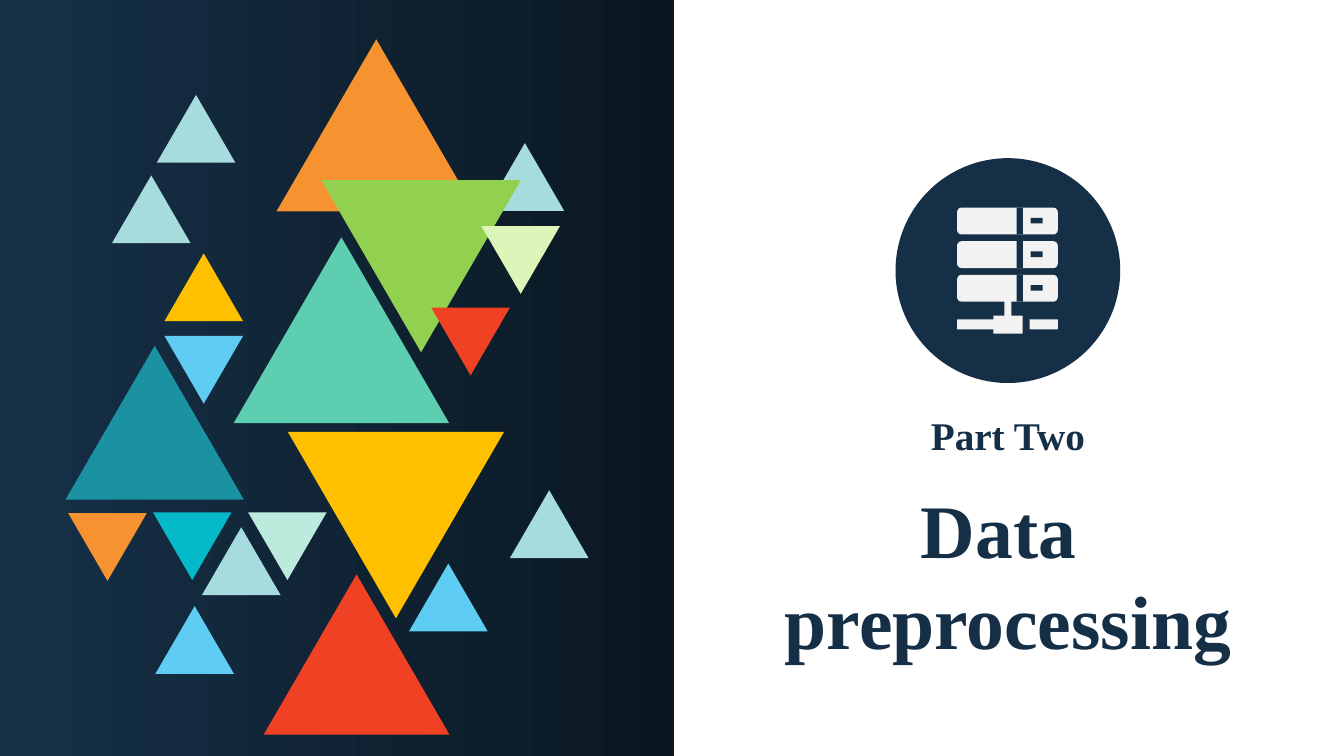
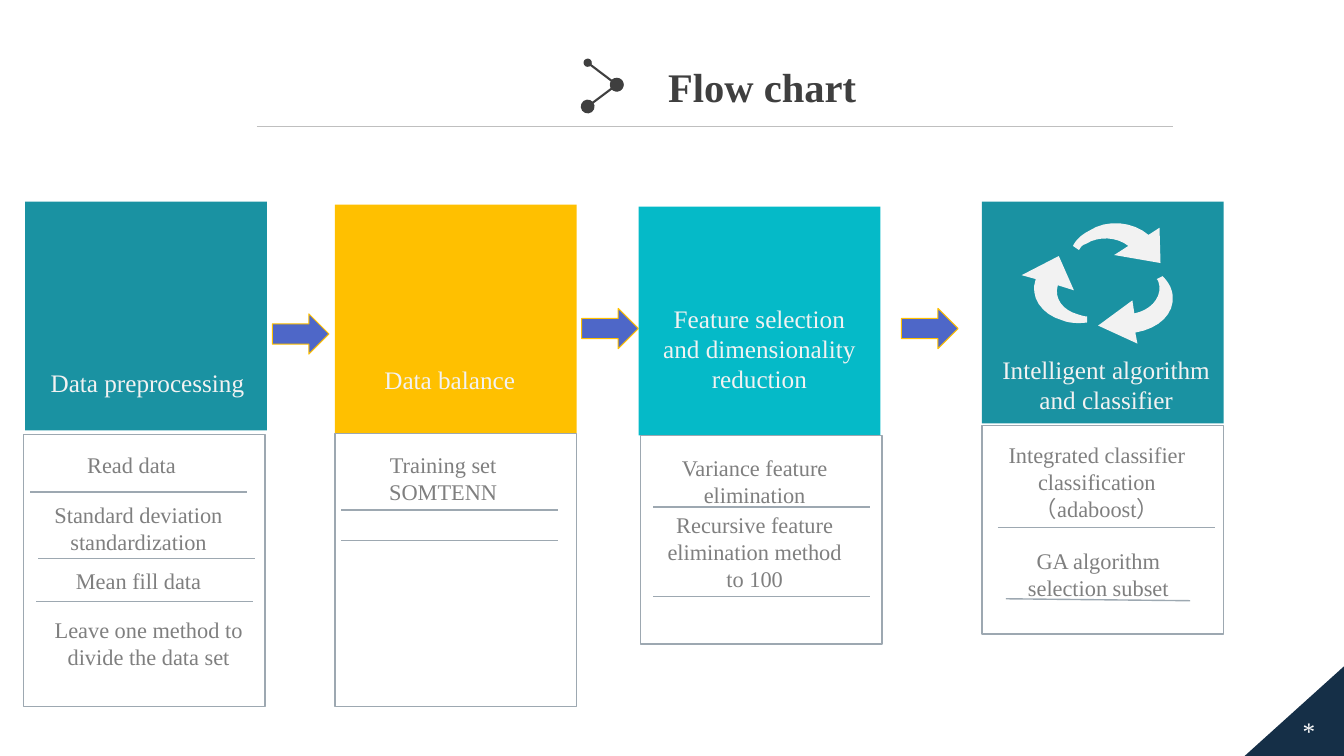
"""Build a section opener and a flow chart slide on data preprocessing."""
from lxml import etree
from pptx import Presentation
from pptx.dml import color
from pptx.enum import shapes, text
from pptx.oxml import ns
from pptx.util import Pt

FONT = "Times New Roman"
NAVY, PALE, GREY, CHARCOAL, RULE = "152F47", "F2F2F2", "7F7F7F", "3F3F3F", "9DA8B1"
TEAL, CYAN, GOLD, BLUE = "1A92A2", "05BAC8", "FFC000", "4E67C8"
MIST, SKY, RED, ORANGE = "A7DCDE", "5ECCF3", "F14124", "F69230"
KIND = shapes.MSO_SHAPE
LEFT, CENTER = text.PP_ALIGN.LEFT, text.PP_ALIGN.CENTER


def paint(shape, fill=None, line=None, width=1):
    if fill:
        shape.fill.solid()
        shape.fill.fore_color.rgb = color.RGBColor.from_string(fill)
    else:
        shape.fill.background()
    if line:
        shape.line.color.rgb = color.RGBColor.from_string(line)
        shape.line.width = Pt(width)
    else:
        shape.line.fill.background()
    shape.shadow.inherit = False
    return shape


def write(holder, box, words, size, ink, bold=False, align=CENTER):
    holder.left, holder.top, holder.width, holder.height = map(Pt, box)
    frame = holder.text_frame
    frame.text = words
    frame.word_wrap = True
    frame.auto_size = text.MSO_AUTO_SIZE.NONE
    frame.vertical_anchor = text.MSO_ANCHOR.TOP
    for paragraph in frame.paragraphs:
        paragraph.alignment = align
        paragraph.font.name = FONT
        paragraph.font.size = Pt(size)
        paragraph.font.bold = bold
        paragraph.font.color.rgb = color.RGBColor.from_string(ink)


deck = Presentation()
deck.slide_width, deck.slide_height = Pt(960.48), Pt(540)
title_only = deck.slide_layouts[5]

opener = deck.slides.add_slide(title_only)
write(opener.shapes.title, (532.4, 341.3, 376, 137), "Data \npreprocessing", 54, NAVY, True)
write(opener.shapes.add_textbox(0, 0, 0, 0), (640, 290, 160.6, 41), "Part Two", 28, NAVY, True)

backdrop = paint(opener.shapes.add_shape(KIND.RECTANGLE, 0, 0, Pt(481.7), Pt(540)))
backdrop.fill.gradient()
backdrop.fill.gradient_angle = 0
for stop, position, shade in zip(backdrop.fill.gradient_stops, (0, 1), ("163048", "0A1721")):
    stop.position = position
    stop.color.rgb = color.RGBColor.from_string(shade)

SMALL = 56.2
triangles = [
    (80, 125.3, SMALL, MIST, 0),
    (347, 102.2, SMALL, MIST, 0),
    (177.3, 365.9, SMALL, "BCEBDE", 180),
    (167, 169.5, 154, "5DCEAF", 0),
    (46.8, 247, 127.5, TEAL, 0),
    (144.3, 376.6, SMALL, MIST, 0),
    (111, 432.9, SMALL, SKY, 0),
    (197.6, 28.1, 142.6, ORANGE, 0),
    (112, 67.8, SMALL, MIST, 0),
    (229.6, 128.7, 142.6, "92D050", 180),
    (344, 161.5, SMALL, "DBF6B8", 180),
    (109.3, 365.9, SMALL, CYAN, 180),
    (48.7, 366.5, SMALL, ORANGE, 180),
    (117.5, 181, SMALL, GOLD, 0),
    (117.5, 239.9, SMALL, SKY, 180),
    (308.2, 219.7, SMALL, RED, 180),
    (188.5, 410.3, 132.7, RED, 0),
    (364.4, 350.2, SMALL, MIST, 0),
    (205.7, 308.5, 154.5, GOLD, 180),
    (292.3, 402.5, SMALL, SKY, 0),
]
for left, top, side, shade, turn in triangles:
    triangle = opener.shapes.add_shape(KIND.ISOSCELES_TRIANGLE, Pt(left), Pt(top), Pt(side), Pt(side * 0.862))
    paint(triangle, shade).rotation = turn

server = [(KIND.OVAL, (640, 113, 160.6, 160.6), NAVY)]
for top in (148.3, 172.3, 196.3):
    server += [
        (KIND.ROUNDED_RECTANGLE, (684, top, 72, 19.2), PALE),
        (KIND.RECTANGLE, (726.5, top, 4.5, 19.2), NAVY),
        (KIND.RECTANGLE, (736.6, top + 7.3, 8.6, 4), NAVY),
    ]
for box in ((684, 228.2, 27, 7.2), (709.9, 225.4, 21, 12.9), (717.8, 215, 5.1, 11), (735.8, 228.2, 20.2, 7.2)):
    server.append((KIND.RECTANGLE, box, PALE))
for kind, box, shade in server:
    paint(opener.shapes.add_shape(kind, *map(Pt, box)), shade)

flow = deck.slides.add_slide(title_only)
write(flow.shapes.title, (470.2, 40.3, 240, 41.8), "Flow chart", 29, CHARCOAL, True, LEFT)

corner = flow.shapes.build_freeform(Pt(889.5), Pt(540))
corner.add_line_segments([(Pt(960.48), Pt(476)), (Pt(960.48), Pt(540))])
paint(corner.convert_to_shape(), NAVY)
write(flow.shapes.add_textbox(0, 0, 0, 0), (911, 507.5, 49, 30), "*", 18, "FFFFFF")

steps = [
    (TEAL, (18, 144, 172.8, 163.4), (28, 258.8, 154.8, 29), "Data preprocessing",
     (16.6, 310.3, 172.8, 194.4),
     [(16.6, 318.5, "Read data"), (21.6, 354.2, "Standard deviation standardization"),
      (21.6, 401.8, "Mean fill data"), (28.8, 436.3, "Leave one method to divide the data set")]),
    (GOLD, (239.3, 146.2, 172.8, 163.4), (244, 256.7, 154.8, 29), "Data balance",
     (239.3, 309.6, 172.8, 195),
     [(239.3, 318.5, "Training set SOMTENN")]),
    (CYAN, (456.4, 147.6, 172.8, 163.4), (465.3, 213.1, 154.8, 72),
     "Feature selection and dimensionality reduction",
     (457.7, 311, 172.8, 149),
     [(461.9, 320.7, "Variance feature elimination"),
      (461.9, 361.4, "Recursive feature elimination method to 100")]),
    (TEAL, (701.7, 144, 172.8, 158.4), (701.7, 249.5, 177.8, 50.4), "Intelligent algorithm and classifier",
     (701.7, 303.8, 172.8, 149),
     [(706.5, 311.8, "Integrated classifier classification （adaboost）"),
      (707.5, 387.4, "GA algorithm selection subset")]),
]
for shade, card, heading_box, heading, panel, tasks in steps:
    paint(flow.shapes.add_shape(KIND.RECTANGLE, *map(Pt, card)), shade)
    paint(flow.shapes.add_shape(KIND.RECTANGLE, *map(Pt, panel)), None, RULE)
    write(flow.shapes.add_textbox(0, 0, 0, 0), heading_box, heading, 18, PALE)
    for left, top, task in tasks:
        write(flow.shapes.add_textbox(0, 0, 0, 0), (left, top, 154.8, 46), task, 16, GREY)

for left, top in ((194.6, 224.2), (415.7, 220.3), (644.2, 220.3)):
    arrow = flow.shapes.add_shape(KIND.RIGHT_ARROW, Pt(left), Pt(top), Pt(40.5), Pt(28.8))
    paint(arrow, BLUE, GOLD, 0.75)

cycle = [
    [(812.9, 245.5), (784.8, 232.6), (809.3, 214.6), (810.7, 223.9),
     (821.5, 221.8, 829.4, 213.8, 828.7, 204.5), (828, 202.3, 828, 200.2, 826.6, 199.4),
     (830.9, 197.3), (834.5, 200.9, 837.4, 205.2, 838.1, 211),
     (839.5, 223.9, 828.7, 234.7, 811.4, 237.6)],
    [(730.1, 196.6), (756.7, 182.9), (767.5, 207.4), (756, 203.8),
     (753.1, 213.1, 759.6, 221.8, 770.4, 224.6), (772.6, 225.4, 775.4, 226.1, 776.9, 226.1),
     (776.9, 230.4), (771.8, 231.1, 764.6, 231.1, 759.6, 229),
     (743.8, 224.6, 735.8, 211.7, 740.2, 199.4)],
    [(828.7, 162.7), (820.8, 167.8), (810, 158.4, 791.3, 156.2, 778.3, 164.9),
     (772.6, 167.8, 769, 171.4, 766.8, 175.7), (771.1, 178.6),
     (772.6, 176.4, 773.3, 175, 776.2, 174.2), (784.8, 168.5, 798.5, 169.2, 806.4, 175.7),
     (796.3, 182.2), (829.4, 187.9)],
]
for outline in cycle:
    points = [outline[0]]
    for segment in outline[1:]:
        if len(segment) == 2:
            points.append(segment)
            continue
        x0, y0 = points[-1]
        x1, y1, x2, y2, x3, y3 = segment
        for t in (n / 8 for n in range(1, 9)):
            a, b, c, d = (1 - t) ** 3, 3 * t * (1 - t) ** 2, 3 * t * t * (1 - t), t ** 3
            points.append((a * x0 + b * x1 + c * x2 + d * x3, a * y0 + b * y1 + c * y2 + d * y3))
    bent_arrow = flow.shapes.build_freeform(*map(Pt, points[0]))
    bent_arrow.add_line_segments([(Pt(x), Pt(y)) for x, y in points[1:]])
    paint(bent_arrow.convert_to_shape(), PALE)

task_rules = [
    (21.6, 351.4), (27.4, 398.9), (25.9, 429.8), (244, 364.3), (244, 385.9),
    (466.9, 362.2), (466.9, 426.2), (713.2, 376.6),
]
lines = [((x, y, x + 154.8, y), RULE, 1, ()) for x, y in task_rules]
lines += [
    ((718.9, 427.7, 850.6, 429.1), RULE, 1, ()),
    ((183.6, 90, 838.1, 90), "BFBFBF", 0.5, ()),
    ((420, 44.8, 440.8, 60.5), CHARCOAL, 1.5, ("med", "lg")),
    ((440.8, 60.5, 420, 76.1), CHARCOAL, 1.5, ("lg", "lg")),
]
for ends, shade, width, dots in lines:
    stroke = flow.shapes.add_connector(shapes.MSO_CONNECTOR.STRAIGHT, *map(Pt, ends))
    stroke.line.color.rgb = color.RGBColor.from_string(shade)
    stroke.line.width = Pt(width)
    properties = stroke._element.spPr
    for tag, size in zip(("a:headEnd", "a:tailEnd"), dots):
        etree.SubElement(properties.find(ns.qn("a:ln")), ns.qn(tag), type="oval", w=size, len=size)
    etree.SubElement(properties, ns.qn("a:effectLst"))

deck.save("out.pptx")
